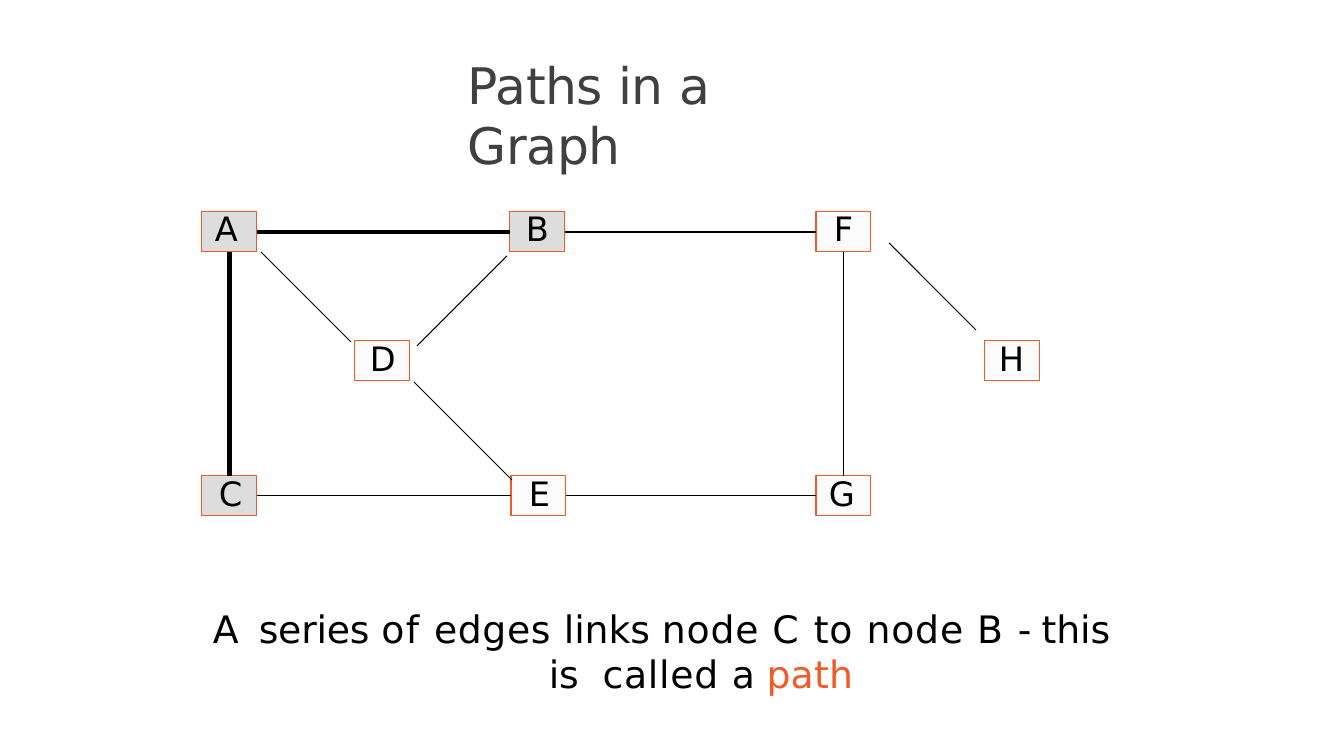
from dataclasses import dataclass

from lxml.etree import SubElement
from pptx import Presentation
from pptx.dml.color import RGBColor
from pptx.enum.shapes import MSO_CONNECTOR, MSO_SHAPE
from pptx.enum.text import MSO_ANCHOR, PP_ALIGN
from pptx.oxml.ns import qn
from pptx.util import Pt

PX = 12096


@dataclass(frozen=True)
class Theme:
    font: str = "DejaVu Sans"
    title: RGBColor = RGBColor(0x40, 0x40, 0x40)
    ink: RGBColor = RGBColor(0, 0, 0)
    node_fill: RGBColor = RGBColor(0xDD, 0xDD, 0xDD)
    node_line: RGBColor = RGBColor(0xF0, 0x5A, 0x28)
    accent: RGBColor = RGBColor(0xF1, 0x5B, 0x2A)
    title_size: int = 48
    caption_size: int = 36
    node_size: int = 32


theme = Theme()


def style_run(run, size, color, spacing):
    run.font.name = theme.font
    run.font.size = Pt(size)
    run.font.color.rgb = color
    run._r.get_or_add_rPr().set("spc", str(round(spacing * 100)))


def prepare_frame(shape, left=0):
    frame = shape.text_frame
    frame.word_wrap = True
    frame.vertical_anchor = MSO_ANCHOR.TOP
    frame.margin_left = left * PX
    frame.margin_top = frame.margin_right = frame.margin_bottom = 0
    frame.paragraphs[0].alignment = PP_ALIGN.LEFT
    return frame


prs = Presentation()
prs.slide_width = 1344 * PX
prs.slide_height = 756 * PX
slide = prs.slides.add_slide(prs.slide_layouts[6])

heading = slide.shapes.add_textbox(467 * PX, 54 * PX, 409 * PX, 63 * PX)
heading_frame = prepare_frame(heading, 1)
heading_frame.text = "Paths in a Graph"
heading_frame.paragraphs[0].space_before = Pt(1)
style_run(heading_frame.paragraphs[0].runs[0], theme.title_size, theme.title, -0.4)

node_width, node_height = 55, 40
top_row, middle_row, bottom_row = 212, 341, 476
path_nodes = "ABC"
node_places = {
    "A": (202, top_row, 13, 3.4),
    "B": (510, top_row, 16, 1.1),
    "F": (816, top_row, 18, 2.6),
    "D": (355, middle_row, 15, 0.3),
    "H": (985, middle_row, 14, 0.2),
    "C": (202, bottom_row, 17, 1.2),
    "E": (511, bottom_row, 18, 1.2),
    "G": (816, bottom_row, 13, 0.2),
}
nodes = {}
for letter, (x, y, indent, spacing) in node_places.items():
    node = slide.shapes.add_shape(
        MSO_SHAPE.RECTANGLE, x * PX, y * PX, node_width * PX, node_height * PX
    )
    node.shadow.inherit = False
    node.fill.solid()
    node.fill.fore_color.rgb = theme.node_fill
    if letter not in path_nodes:
        fill_color = node._element.spPr.find(qn("a:solidFill"))[0]
        SubElement(fill_color, qn("a:alpha")).set("val", "10000")
    node.line.color.rgb = theme.node_line
    node.line.width = Pt(1)
    frame = prepare_frame(node, indent)
    frame.text = letter
    frame.paragraphs[0].line_spacing = Pt(35)
    style_run(frame.paragraphs[0].runs[0], theme.node_size, theme.ink, spacing)
    nodes[letter] = node

TOP, LEFT, BOTTOM, RIGHT = range(4)
edges = []
for start, start_side, end, end_side, weight in [
    ("A", RIGHT, "B", LEFT, 4),
    ("A", BOTTOM, "C", TOP, 4),
    ("B", RIGHT, "F", LEFT, 1),
    ("F", BOTTOM, "G", TOP, 1),
    ("C", RIGHT, "E", LEFT, 1),
    ("E", RIGHT, "G", LEFT, 1),
]:
    edge = slide.shapes.add_connector(MSO_CONNECTOR.STRAIGHT, 0, 0, 0, 0)
    edge.begin_connect(nodes[start], start_side)
    edge.end_connect(nodes[end], end_side)
    edges.append((edge, weight))

for ends in [
    (261, 252, 351, 342),
    (507, 256, 417, 346),
    (414, 382, 512, 480),
    (889, 243, 976, 330),
]:
    diagonal = slide.shapes.add_connector(
        MSO_CONNECTOR.STRAIGHT, *[value * PX for value in ends]
    )
    edges.append((diagonal, 1))

for edge, weight in edges:
    edge.line.color.rgb = theme.ink
    edge.line.width = Pt(weight)
    SubElement(edge._element.spPr, qn("a:effectLst"))

caption = slide.shapes.add_textbox(212 * PX, 606 * PX, 920 * PX, 93 * PX)
caption_frame = prepare_frame(caption)
caption_frame.margin_right = 3 * PX
sentence = caption_frame.paragraphs[0]
sentence.line_spacing = Pt(43)
sentence.space_before = Pt(2.6)
hanging = sentence._p.get_or_add_pPr()
hanging.set("marL", str(337 * PX))
hanging.set("indent", str(-336 * PX))
for words, spacing in [
    ("A ", 3.8),
    ("series ", -0.2),
    ("of ", 1.3),
    ("edges ", 0.6),
    ("links ", -0.1),
    ("node ", 0.8),
    ("C ", 1.4),
    ("to ", 0.9),
    ("node ", 0.8),
    ("B ", 1.3),
    ("- ", -1.7),
    ("this ", -0.1),
    ("is", -0.2),
    (" ", 11),
    ("called ", 0.7),
    ("a ", -0.5),
    ("path", 0.2),
]:
    run = sentence.add_run()
    run.text = words
    color = theme.accent if words == "path" else theme.ink
    style_run(run, theme.caption_size, color, spacing)

prs.save("out.pptx")
